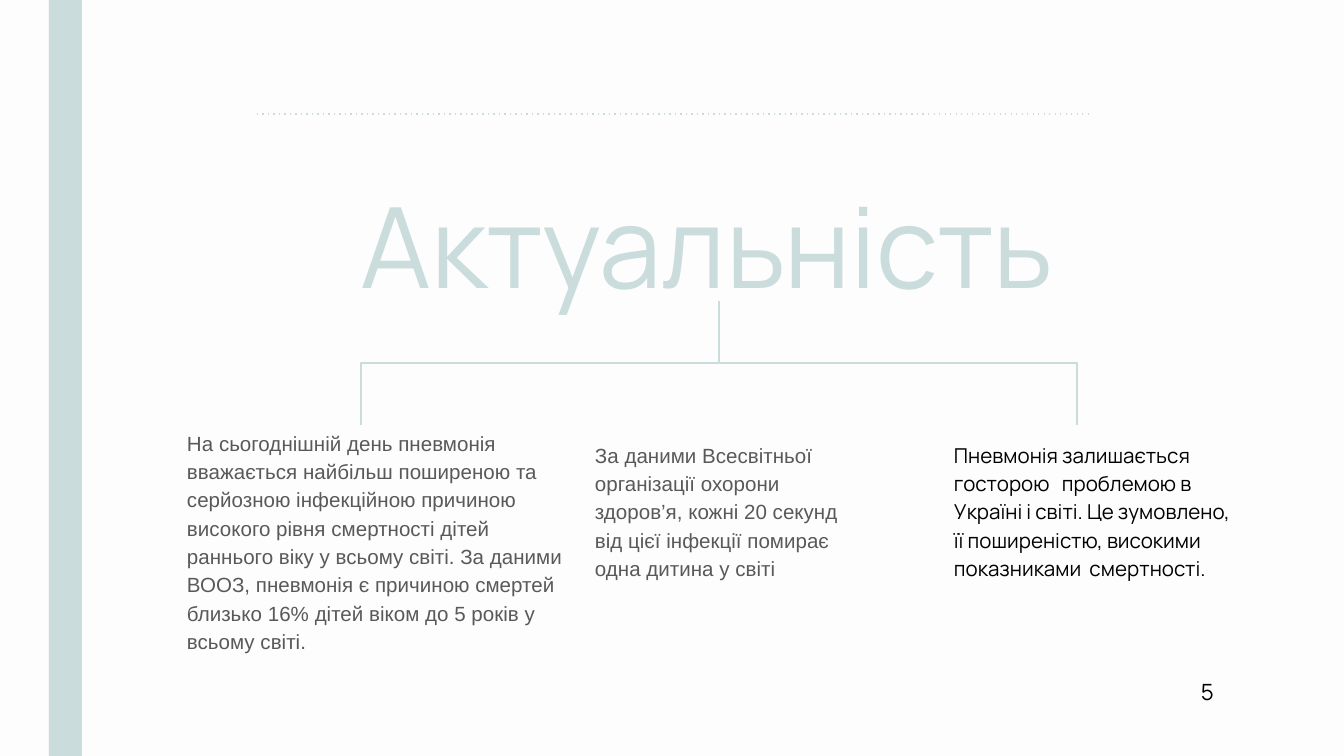
from lxml.etree import SubElement
from pptx import Presentation
from pptx.dml.color import RGBColor
from pptx.enum.shapes import MSO_CONNECTOR as LINK, MSO_SHAPE
from pptx.enum.text import MSO_ANCHOR as ANCHOR, PP_ALIGN as ALIGN
from pptx.oxml.ns import qn
from pptx.util import Emu, Pt

PX = 914400 / 134.4
MINT, GREY, BLACK = "CADCDC", "5A5858", "000000"


def rgb(code):
    return RGBColor.from_string(code)


def px(*lengths):
    return [Emu(round(length * PX)) for length in lengths]


deck = Presentation()
deck.slide_width, deck.slide_height = px(1344, 756)
slide = deck.slides.add_slide(deck.slide_layouts[6])
slide.background.fill.solid()
slide.background.fill.fore_color.rgb = rgb("FDFDFD")

side_bar = slide.shapes.add_shape(MSO_SHAPE.RECTANGLE, *px(49, -7, 33, 770))
side_bar.shadow.inherit = False
side_bar.fill.solid()
side_bar.fill.fore_color.rgb = rgb(MINT)
side_bar.line.fill.background()

trunk_x, branch_top, branch_drop, branch_reach = 719, 301, 124, 358
branch_y = branch_top + branch_drop / 2
links = [(LINK.STRAIGHT, (1089, 114, 255, 114), 0)]
for side, rotation in ((-1, 270), (1, 90)):
    middle_x = trunk_x + side * branch_reach / 2
    start_x = middle_x + side * branch_drop / 2
    end_x = middle_x - side * branch_drop / 2
    ends = (start_x, branch_y - branch_reach / 2, end_x, branch_y + branch_reach / 2)
    links.append((LINK.ELBOW, ends, rotation))

for kind, ends, rotation in links:
    link = slide.shapes.add_connector(kind, *px(*ends))
    link.line.color.rgb = rgb(MINT)
    link.line.width = Pt(0.75)
    properties = link._element.spPr
    if rotation:
        properties.find(qn("a:xfrm")).set("rot", str(rotation * 60000))
    else:
        SubElement(properties.find(qn("a:ln")), qn("a:prstDash"), val="dot")
    SubElement(properties, qn("a:effectLst"))

body = {"line_spacing": 1.15, "space_after": Pt(16)}
texts = [
    ("Актуальність ", (300, 164, 837, 136), 60, "Manrope", MINT,
     {"alignment": ALIGN.CENTER}, ANCHOR.TOP, 0),
    ("На сьогоднішній день пневмонія вважається найбільш поширеною та серйозною "
     "інфекційною причиною високого рівня смертності дітей раннього віку у всьому "
     "світі. За даними ВООЗ, пневмонія є причиною смертей близько 16% дітей віком "
     "до 5 років у всьому світі.",
     (151, 414, 427, 368), 11, "Arial", GREY, {"line_spacing": 1.15}, ANCHOR.TOP, 23),
    ("За даними Всесвітньої організації охорони здоров’я, кожні 20 секунд від цієї "
     "інфекції помирає одна дитина у світі",
     (582, 426, 274, 168), 11, "Arial", GREY, body, ANCHOR.TOP, 0),
    ("Пневмонія залишається госторою   проблемою в Україні і світі. Це зумовлено, "
     "її поширеністю, високими показниками  смертності.",
     (941, 426, 312, 216), 11, "Manrope", BLACK, body, ANCHOR.TOP, 0),
    ("5", (1163, 657, 89, 66), 12, "Manrope", BLACK,
     {"line_spacing": 1.15}, ANCHOR.MIDDLE, 25),
]

for words, place, size, face, colour, layout, anchor, indent in texts:
    frame = slide.shapes.add_textbox(*px(*place)).text_frame
    inset, margin = px(13, indent)
    settings = {"word_wrap": True, "vertical_anchor": anchor, "margin_left": inset,
                "margin_right": inset, "margin_top": inset, "margin_bottom": inset}
    for key, value in settings.items():
        setattr(frame, key, value)
    paragraph = frame.paragraphs[0]
    for key, value in layout.items():
        setattr(paragraph, key, value)
    if indent:
        paragraph._p.get_or_add_pPr().set("marL", str(margin))
    run = paragraph.add_run()
    run.text = words
    run.font.size, run.font.name = Pt(size), face
    run.font.color.rgb = rgb(colour)

deck.save("out.pptx")
